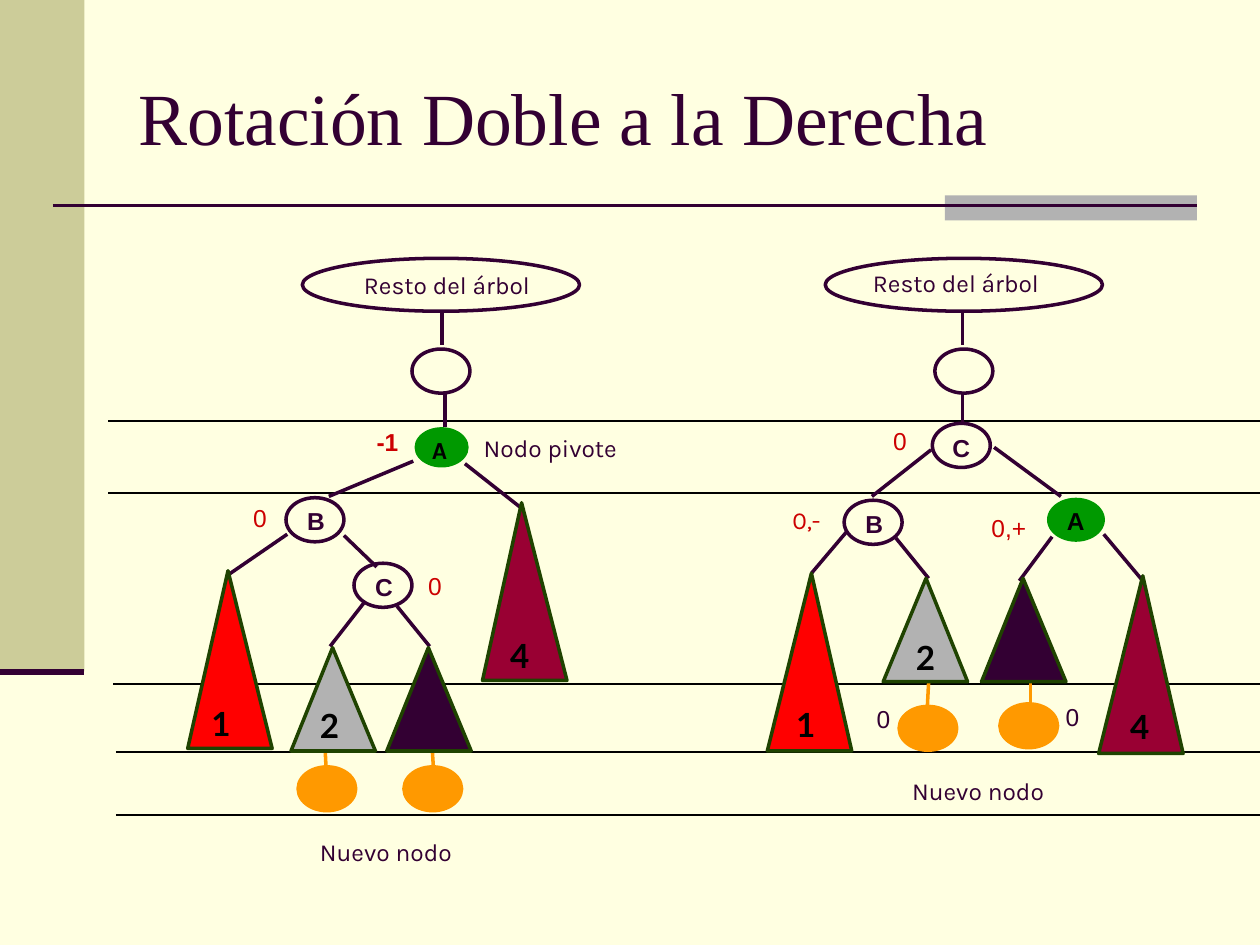
from dataclasses import dataclass

from lxml import etree
from pptx import Presentation
from pptx import util as u
from pptx.dml.color import RGBColor
from pptx.enum import shapes, text
from pptx.oxml import ns

EMU_PER_PX = u.Inches(1) // 100
SLIDE_WIDTH, SLIDE_HEIGHT = 1000, 750

COLORS = {
    "cream": "FFFFE1", "khaki": "CCCC99", "gray": "B2B2B2", "plum": "330033",
    "black": "000000", "crimson": "CC0000", "red": "FF0000", "wine": "990033",
    "outline": "1F4300", "green": "009900", "orange": "FF9900",
}


@dataclass(frozen=True)
class Line:
    x1: int
    y1: int
    x2: int
    y2: int
    color: str = "plum"
    points: float = 2


@dataclass(frozen=True)
class Node:
    left: int
    top: int
    width: int = 46
    height: int = 35
    fill: str | None = None
    line: str | None = "plum"
    points: float = 2
    preset: shapes.MSO_SHAPE = shapes.MSO_SHAPE.OVAL


@dataclass(frozen=True)
class Subtree:
    left: int
    top: int
    apex: int
    height: int
    fill: str


@dataclass(frozen=True)
class Label:
    words: str
    left: int
    top: int
    width: int = 31
    height: int = 33
    font: str = "Arial"
    color: str = "plum"
    bold: bool = False
    size: int = 14


SUBTREE_WIDTH = 67
TALL, SHORT = 141, 82


def px(value: int) -> u.Emu:
    return u.Emu(value * EMU_PER_PX)


def rgb(name: str) -> RGBColor:
    return RGBColor.from_string(COLORS[name])


def paint(shape, fill: str | None, line: str | None, points: float) -> None:
    shape.shadow.inherit = False
    if fill:
        shape.fill.solid()
        shape.fill.fore_color.rgb = rgb(fill)
    else:
        shape.fill.background()
    if line:
        shape.line.color.rgb = rgb(line)
        shape.line.width = u.Pt(points)
    else:
        shape.line.fill.background()


def draw_line(slide, line: Line) -> None:
    connector = slide.shapes.add_connector(
        shapes.MSO_CONNECTOR.STRAIGHT,
        px(line.x1), px(line.y1), px(line.x2), px(line.y2))
    connector.line.color.rgb = rgb(line.color)
    connector.line.width = u.Pt(line.points)
    etree.SubElement(connector._element.spPr, ns.qn("a:effectLst"))


def draw_node(slide, node: Node) -> None:
    shape = slide.shapes.add_shape(
        node.preset, px(node.left), px(node.top), px(node.width), px(node.height))
    paint(shape, node.fill, node.line, node.points)


def draw_label(slide, label: Label) -> None:
    box = slide.shapes.add_textbox(
        px(label.left), px(label.top), px(label.width), px(label.height))
    frame = box.text_frame
    frame.word_wrap = False
    frame.auto_size = text.MSO_AUTO_SIZE.SHAPE_TO_FIT_TEXT
    paragraph = frame.paragraphs[0]
    paragraph.text = label.words
    style_font(paragraph.font, label.font, label.size, label.color, label.bold)


def draw_subtree(slide, subtree: Subtree) -> None:
    bottom = subtree.top + subtree.height
    builder = slide.shapes.build_freeform(subtree.apex, subtree.top, scale=EMU_PER_PX)
    builder.add_line_segments(
        [(subtree.left + SUBTREE_WIDTH, bottom), (subtree.left, bottom)], close=True)
    paint(builder.convert_to_shape(), subtree.fill, "outline", 2)


def style_font(font, name: str, size: int, color: str, bold: bool) -> None:
    font.name = name
    font.size = u.Pt(size)
    font.bold = bold
    font.color.rgb = rgb(color)


def rest_of_tree(left: int, top: int) -> Label:
    return Label("Resto del árbol", left, top, 158, font="Karla")


def new_node(left: int, top: int) -> Label:
    return Label("Nuevo nodo", left, top, 133, font="Karla")


def key(letter: str, left: int, top: int, color: str = "plum", font: str = "Arial") -> Label:
    return Label(letter, left, top, 34, font=font, color=color, bold=True)


def number(digit: str, left: int, top: int) -> Label:
    return Label(digit, left, top, 35, 42, "Lato", "black", True, 19)


def inserted(left: int, top: int) -> Node:
    return Node(left, top, 43, 32, "orange", "orange", 4)


BANDS = [Node(0, 0, 67, 533, "khaki", None, preset=shapes.MSO_SHAPE.RECTANGLE),
         Node(750, 155, 200, 20, "gray", None, preset=shapes.MSO_SHAPE.RECTANGLE)]
FRAME_LINES = [Line(42, 163, 950, 163, points=1.5), Line(0, 533, 67, 533, points=3.5)]
LEVELS = [(86, 334), (86, 391), (90, 543), (92, 597), (92, 647)]

EDGES = [
    Line(351, 248, 351, 274), Line(353, 313, 353, 339),
    Line(328, 366, 261, 394), Line(416, 405, 369, 368),
    Line(228, 424, 180, 457), Line(273, 425, 299, 450),
    Line(290, 477, 262, 513), Line(315, 481, 341, 513),
    Line(258, 594, 259, 613, "orange"), Line(343, 594, 344, 609, "orange"),
    Line(764, 248, 764, 274), Line(764, 311, 764, 337),
    Line(692, 394, 739, 357), Line(789, 355, 842, 394),
    Line(644, 455, 672, 422), Line(711, 427, 737, 459),
    Line(835, 426, 809, 461), Line(876, 424, 907, 461),
    Line(737, 542, 736, 561, "orange"), Line(818, 540, 818, 559, "orange"),
]
SUBTREES = [
    Subtree(149, 453, 181, TALL, "red"), Subtree(231, 514, 264, SHORT, "gray"),
    Subtree(307, 514, 340, SHORT, "plum"), Subtree(383, 399, 414, TALL, "wine"),
    Subtree(609, 455, 644, TALL, "red"), Subtree(701, 459, 735, SHORT, "gray"),
    Subtree(779, 459, 812, SHORT, "plum"), Subtree(872, 457, 907, TALL, "wine"),
]
NODES = [
    Node(240, 205, 220, 42), Node(327, 277), Node(329, 339, 43, 32, "green", None),
    Node(227, 395), Node(281, 447), inserted(238, 610), inserted(322, 610),
    Node(655, 205, 220, 42), Node(742, 277), Node(740, 336), Node(670, 397),
    Node(831, 395, fill="green", line=None), inserted(715, 562), inserted(795, 560),
]
LABELS = [
    rest_of_tree(279, 209), Label("Nodo pivote", 374, 339, 132, font="Karla"),
    new_node(244, 659), key("A", 333, 340, "black", "Karla"),
    key("B", 234, 397), key("C", 288, 449),
    Label("-1", 289, 334, 38, color="crimson", bold=True),
    Label("0", 191, 394, color="crimson"), Label("0", 330, 448, color="crimson"),
    number("1", 158, 553), number("2", 244, 555), number("4", 395, 499),
    rest_of_tree(683, 208), new_node(714, 611), key("A", 837, 397, "black"),
    key("B", 677, 399), key("C", 746, 339),
    Label("0", 699, 333, color="crimson"), Label("0,+", 777, 402, 48, color="crimson"),
    Label("0,-", 619, 396, 43, font="Karla", color="crimson"),
    number("1", 622, 554), number("2", 717, 501), number("4", 887, 556),
    Label("0", 686, 554), Label("0", 836, 552),
]


def place_title(slide) -> None:
    title = slide.shapes.title
    title.left, title.top, title.width, title.height = map(px, (100, 30, 850, 125))
    frame = title.text_frame
    frame.word_wrap = True
    frame.auto_size = text.MSO_AUTO_SIZE.NONE
    frame.vertical_anchor = text.MSO_ANCHOR.MIDDLE
    paragraph = frame.paragraphs[0]
    paragraph.text = "Rotación Doble a la Derecha"
    paragraph.alignment = text.PP_ALIGN.LEFT
    style_font(paragraph.font, "Times New Roman", 42, "plum", False)


def main() -> None:
    presentation = Presentation()
    presentation.slide_width, presentation.slide_height = px(SLIDE_WIDTH), px(SLIDE_HEIGHT)
    slide = presentation.slides.add_slide(presentation.slide_layouts[5])
    slide.background.fill.solid()
    slide.background.fill.fore_color.rgb = rgb("cream")
    place_title(slide)
    levels = [Line(x, y, SLIDE_WIDTH, y, "black", 1) for x, y in LEVELS]
    for draw, items in (
        (draw_node, BANDS), (draw_line, FRAME_LINES + levels + EDGES),
        (draw_subtree, SUBTREES), (draw_node, NODES), (draw_label, LABELS),
    ):
        for item in items:
            draw(slide, item)
    presentation.save("out.pptx")


if __name__ == "__main__":
    main()
